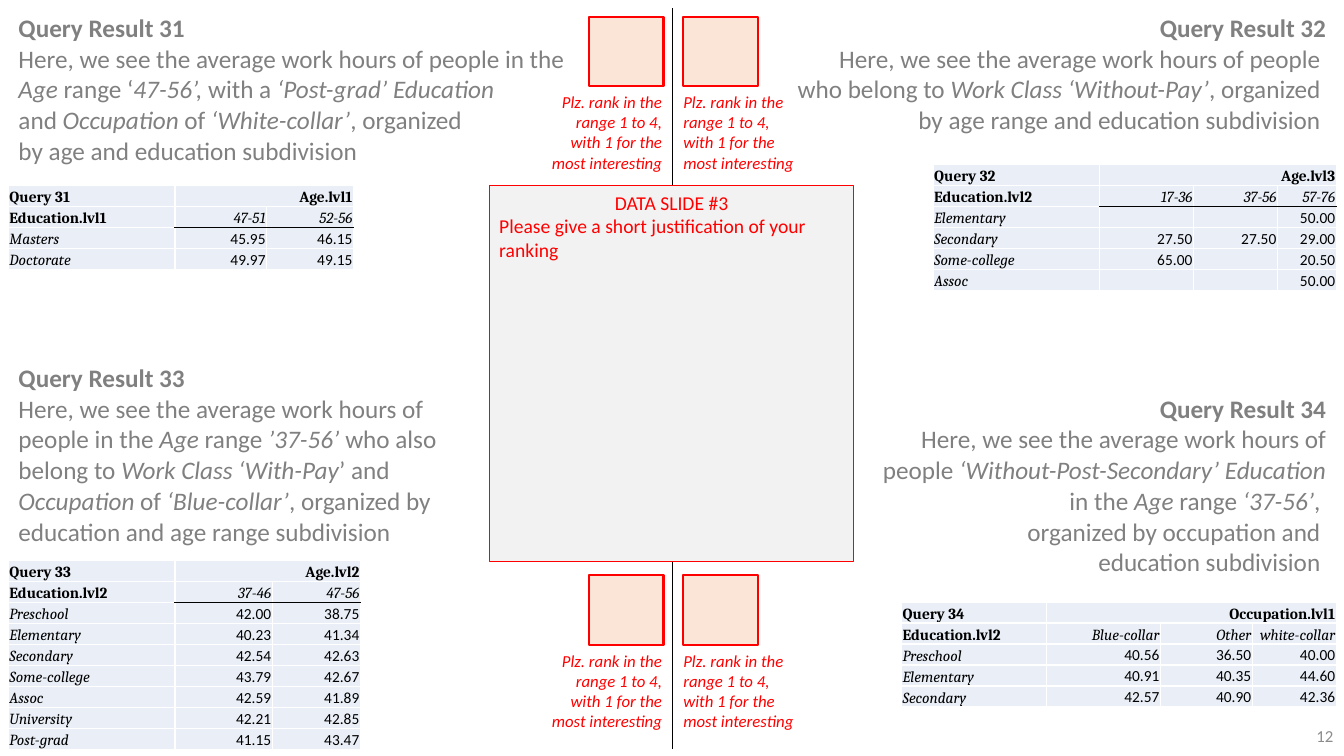
from itertools import product
from lxml.etree import SubElement
from pptx import Presentation
from pptx.dml.color import RGBColor
from pptx.enum.shapes import MSO_SHAPE
from pptx.enum.text import MSO_ANCHOR, PP_ALIGN
from pptx.oxml.ns import qn
from pptx.util import Pt

HUES = {"grey": "808080", "pale": "8C8C8C", "red": "FF0000", "black": "000000",
        "white": "FFFFFF", "panel": "F2F2F2", "peach": "FBE5D6", "cell": "EAEFF7"}
LEFT, MID, RIGHT = PP_ALIGN.LEFT, PP_ALIGN.CENTER, PP_ALIGN.RIGHT
PLAIN = "{2D5ABB26-0587-4C30-8999-92F81FD0307C}"  # table style without grid


class Page:
    font = "Calibri"

    def __init__(self, deck):
        self.slide = deck.slides.add_slide(deck.slide_layouts[6])
        self.shapes = self.slide.shapes

    def hue(self, name):
        return RGBColor.from_string(HUES[name])

    def line(self, par, text, size, hue, side=LEFT, bold=False, slant=False, font=None):
        """Fill a paragraph; parts between asterisks switch the slant."""
        par.alignment = side
        for i, part in enumerate(text.split("*")):
            if part:
                run = par.add_run()
                run.text = part
                face = run.font
                face.name, face.size = font or self.font, Pt(size)
                face.bold, face.italic = bold, slant != bool(i % 2)
                face.color.rgb = self.hue(hue)

    def label(self, x, y, w, h, text, hue, side, slant=False, anchor=MSO_ANCHOR.TOP):
        frame = self.shapes.add_textbox(Pt(x), Pt(y), Pt(w), Pt(h)).text_frame
        frame.word_wrap, frame.vertical_anchor = True, anchor
        self.line(frame.paragraphs[0], text, 12, hue, side, slant=slant)

    def box(self, x, y, w, h, fill, width):
        box = self.shapes.add_shape(MSO_SHAPE.RECTANGLE, Pt(x), Pt(y), Pt(w), Pt(h))
        box.shadow.inherit = False
        box.fill.solid()
        box.fill.fore_color.rgb = self.hue(fill)
        box.line.color.rgb = self.hue("red")
        box.line.width = Pt(width)
        return box

    def table(self, x, y, cols, rows):
        table = self.shapes.add_table(len(rows), len(cols), Pt(x), Pt(y),
                                      Pt(sum(cols)), Pt(sum(rows))).table
        table.first_row = table.horz_banding = False
        table._tbl.tblPr.find(qn("a:tableStyleId")).text = PLAIN
        for part, size in [*zip(table.columns, cols)]:
            part.width = Pt(size)
        for part, size in zip(table.rows, rows):
            part.height = Pt(size)
        return table

    def edge(self, cell, **sides):
        """Draw cell borders, given as side=(hue, width)."""
        props = cell._tc.get_or_add_tcPr()
        order = [side for side in "LRTB" if side in sides]
        for i, side in enumerate(order):
            hue, width = sides[side]
            line = SubElement(props, qn("a:ln" + side), w=str(Pt(width)))
            fill = SubElement(line, qn("a:solidFill"))
            SubElement(fill, qn("a:srgbClr"), val=HUES[hue])
            props.insert(i, line)

    def query(self, x, y, cols, data, rule=True):
        """Result table: two head rows, then one row for each group."""
        table = self.table(x, y, cols, [15] * len(data))
        white, black = ("white", 1), ("black", 0.75)
        for r, c in product(range(len(data)), range(len(cols))):
            cell = table.cell(r, c)
            cell.margin_left = cell.margin_right = cell.margin_top = Pt(0.75)
            cell.margin_bottom = 0
            cell.vertical_anchor = MSO_ANCHOR.BOTTOM
            cell.fill.solid()
            cell.fill.fore_color.rgb = self.hue("cell")
            text = data[r][c] if c < len(data[r]) else ""
            par = cell.text_frame.paragraphs[0]
            bold = r == 0 or (r == 1 and c == 0)
            value = r > 1 and c > 0
            if text:
                self.line(par, text, 11, "black", RIGHT if c else LEFT, bold,
                          not bold and not value, "Calibri" if value else "Cambria")
            else:
                par._p.get_or_add_endParaRPr().set("sz", "1100")
            ruled = rule and c > 0
            self.edge(cell, L=white, R=white, T=black if ruled and r == 2 else white,
                      B=black if ruled and r == 1 else white)
        table.cell(0, 1).merge(table.cell(0, len(cols) - 1))


deck = Presentation()
deck.slide_width, deck.slide_height = Pt(960), Pt(540)
page = Page(deck)

# Four quarters: place in the grid, top margin, heading and description
QUARTERS = [
    (0, 0, 3.6, ["Query Result 31",
                 "Here, we see the average work hours of people in the ",
                 "*Age* range ‘*47-56’, *with a *‘Post-grad’ Education *",
                 "and *Occupation* of *‘White-collar’*, organized ",
                 "by age and education subdivision"]),
    (0, 1, 3.6, ["Query Result 32",
                 "Here, we see the average work hours of people ",
                 "who belong to *Work Class ‘Without-Pay’*, organized ",
                 "by age range and education subdivision "]),
    (1, 0, 25.6, ["Query Result 33",
                  "Here, we see the average work hours of ",
                  "people in the *Age* range *’37-56’ *who also ",
                  "belong to *Work Class ‘With-Pay*’ and ",
                  "*Occupation* of *‘Blue-collar’*, organized by ",
                  "education and age range subdivision"]),
    (1, 1, 47.5, ["Query Result 34",
                  "Here, we see the average work hours of",
                  "people *‘Without-Post-Secondary’ Education*",
                  "in the *Age* range *‘37-56’*, ",
                  "organized by occupation and ",
                  "education subdivision "]),
]
grid = page.table(6, 6, [474.5, 474], [228, 271.5, 29.5])
for r, c, top, lines in QUARTERS:
    cell = grid.cell(r, c)
    cell.margin_top = Pt(top)
    frame = cell.text_frame
    for i, text in enumerate(lines):
        par = frame.add_paragraph() if i else frame.paragraphs[0]
        page.line(par, text, 18, "grey", RIGHT if c else LEFT, bold=i == 0)
for r in range(3):
    page.edge(grid.cell(r, 0), R=("black", 0.75))
    page.edge(grid.cell(r, 1), L=("black", 0.75))

# Page number
page.label(743.5, 511, 216, 29, "12", "pale", RIGHT, anchor=MSO_ANCHOR.MIDDLE)

# Answer panel
panel = page.box(349.5, 132.5, 260.5, 268.5, "panel", 0.75).text_frame
panel.word_wrap, panel.vertical_anchor = True, MSO_ANCHOR.TOP
page.line(panel.paragraphs[0], "DATA SLIDE #3", 14, "red", MID)
page.line(panel.add_paragraph(), "Please give a short justification of your ranking", 14, "red")

# Rank boxes with their hints
HINT = "Plz. rank in the range 1 to 4, with 1 for the most interesting"
for y, (x, start, side) in product((12, 411), ((420.5, 385, RIGHT), (488, 481, LEFT))):
    page.box(x, y, 53.5, 49.5, "peach", 1.5)
    page.label(start, y + 50, 95, 65.5, HINT, "red", side, slant=True)

# Query results
page.query(6, 132.5, [119, 65.5, 62], [
    ["Query 31", "Age.lvl1"],
    ["Education.lvl1", "47-51", "52-56"],
    ["Masters", "45.95", "46.15"],
    ["Doctorate", "49.97", "49.15"]])
page.query(666.5, 117.5, [119, 67, 60, 42], [
    ["Query 32", "Age.lvl3"],
    ["Education.lvl2", "17-36", "37-56", "57-76"],
    ["Elementary", "", "", "50.00"],
    ["Secondary", "27.50", "27.50", "29.00"],
    ["Some-college", "65.00", "", "20.50"],
    ["Assoc", "", "", "50.00"]])
page.query(6, 400.5, [119, 69.5, 63], [
    ["Query 33", "Age.lvl2"],
    ["Education.lvl2", "37-46", "47-56"],
    ["Preschool", "42.00", "38.75"],
    ["Elementary", "40.23", "41.34"],
    ["Secondary", "42.54", "42.63"],
    ["Some-college", "43.79", "42.67"],
    ["Assoc", "42.59", "41.89"],
    ["University", "42.21", "42.85"],
    ["Post-grad", "41.15", "43.47"]])
page.query(644, 430, [103.5, 81.5, 65.5, 60], [
    ["Query 34", "Occupation.lvl1"],
    ["Education.lvl2", "Blue-collar", "Other", "white-collar"],
    ["Preschool", "40.56", "36.50", "40.00"],
    ["Elementary", "40.91", "40.35", "44.60"],
    ["Secondary", "42.57", "40.90", "42.36"]], rule=False)

deck.save("out.pptx")
